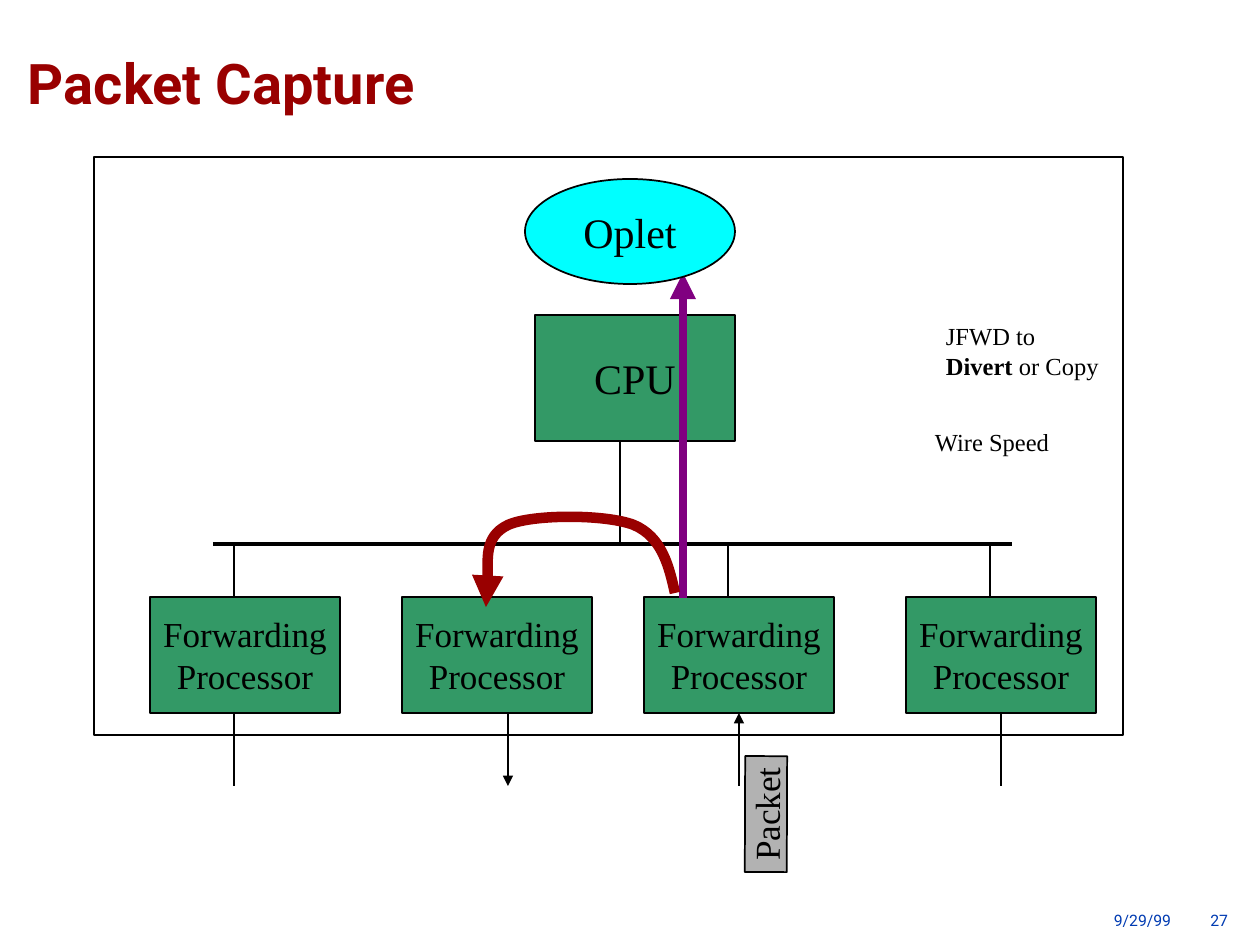
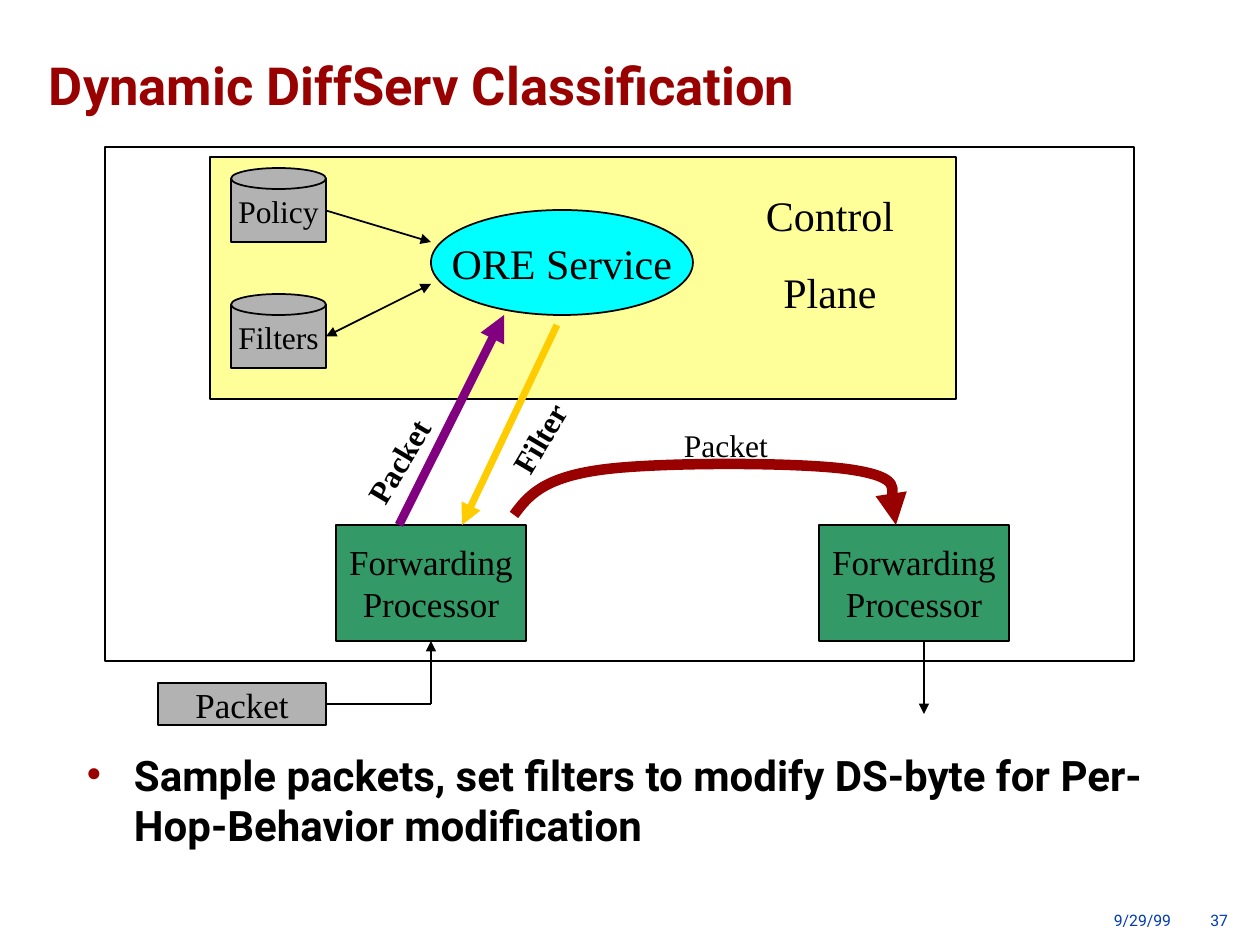
from dataclasses import dataclass
from typing import Optional

from pptx import Presentation
from pptx.dml.color import RGBColor
from pptx.enum.shapes import MSO_CONNECTOR, MSO_SHAPE
from pptx.enum.text import MSO_ANCHOR, PP_ALIGN
from pptx.oxml.ns import qn
from pptx.util import Pt
from lxml import etree

RECT, ELLIPSE = MSO_SHAPE.RECTANGLE, MSO_SHAPE.OVAL
STRAIGHT = MSO_CONNECTOR.STRAIGHT
LEFT, CENTER, RIGHT = PP_ALIGN.LEFT, PP_ALIGN.CENTER, PP_ALIGN.RIGHT
TOP, MIDDLE, BOTTOM = MSO_ANCHOR.TOP, MSO_ANCHOR.MIDDLE, MSO_ANCHOR.BOTTOM

EMU_PER_PX = 914400 / 126
SANS, SERIF = "Roboto", "Times New Roman"
COLORS = {
    "black": "000000",
    "title": "990000",
    "footer": "003BB2",
    "processor": "339966",
    "service": "00FFFF",
    "store": "B2B2B2",
    "plane": "FFFF99",
    "divert": "990000",
    "packet": "800080",
    "filter": "FFCC00",
}
BOTTOM_SITE, RIGHT_SITE = 2, 3
PROCESSOR_W, PROCESSOR_H = 190, 116
FORWARDING_PROCESSOR = "Forwarding\nProcessor"


@dataclass(frozen=True)
class Box:
    x: int
    y: int
    w: int
    h: int
    angle: float = 0


@dataclass(frozen=True)
class Stroke:
    color: str = "black"
    width: float = 1
    head: bool = False
    tail: bool = False


@dataclass(frozen=True)
class Join:
    shape: object
    site: int


@dataclass(frozen=True)
class Label:
    text: str
    box: Box
    size: int
    bold: bool = False
    align: int = CENTER
    space: int = 0


PLAIN = Stroke()
THIN = Stroke(width=0.75)
DIVERT = Stroke("divert", 6, tail=True)
PACKET = Stroke("packet", 5, tail=True)
FILTER = Stroke("filter", 4, tail=True)


def px(length: int) -> int:
    return round(length * EMU_PER_PX)


def rgb(name: str) -> RGBColor:
    return RGBColor.from_string(COLORS[name])


def place(box: Box) -> tuple:
    return px(box.x), px(box.y), px(box.w), px(box.h)


def write(shape, text: str, *, size: int, font: str = SERIF, color: str = "black",
          bold: bool = False, align=CENTER, anchor=MIDDLE, wrap: bool = False,
          inset: tuple = (13, 6), spacing: Optional[float] = None,
          space: int = 0, bullet: Optional[str] = None) -> None:
    """Fill a shape with text; newlines part paragraphs and ** toggles bold."""
    frame = shape.text_frame
    frame.word_wrap = wrap
    frame.vertical_anchor = anchor
    frame.margin_left = frame.margin_right = px(inset[0])
    frame.margin_top = frame.margin_bottom = px(inset[1])
    for number, line in enumerate(text.split("\n")):
        paragraph = frame.add_paragraph() if number else frame.paragraphs[0]
        if bullet:
            add_bullet(paragraph, bullet)
        paragraph.alignment = align
        paragraph.space_before = Pt(space if number else 0)
        if spacing:
            paragraph.line_spacing = spacing
        for part, words in enumerate(line.split("**")):
            if not words:
                continue
            run = paragraph.add_run()
            run.text = words
            run.font.name, run.font.size = font, Pt(size)
            run.font.bold = bold or part % 2 == 1
            run.font.color.rgb = rgb(color)


def add_bullet(paragraph, color: str, hang: int = 48) -> None:
    props = paragraph._p.get_or_add_pPr()
    props.set("marL", str(px(hang)))
    props.set("indent", str(-px(hang)))
    tint = etree.SubElement(props, qn("a:buClr"))
    etree.SubElement(tint, qn("a:srgbClr")).set("val", COLORS[color])
    etree.SubElement(props, qn("a:buSzPct")).set("val", "110000")
    etree.SubElement(props, qn("a:buFont")).set("typeface", SERIF)
    etree.SubElement(props, qn("a:buChar")).set("char", "•")


def add_text(slide, box: Box, text: str, **style) -> None:
    textbox = slide.shapes.add_textbox(*place(box))
    textbox.rotation = box.angle
    write(textbox, text, **style)


def add_label(slide, label: Label) -> None:
    add_text(slide, label.box, label.text, size=label.size, bold=label.bold,
             align=label.align, space=label.space)


def apply_stroke(shape, stroke: Stroke) -> None:
    shape.line.color.rgb = rgb(stroke.color)
    shape.line.width = Pt(stroke.width)
    outline = next(shape.element.iter(qn("a:ln")))
    for end, wanted in (("a:headEnd", stroke.head), ("a:tailEnd", stroke.tail)):
        if wanted:
            etree.SubElement(outline, qn(end)).set("type", "triangle")


def add_node(slide, kind, box: Box, fill: Optional[str] = None,
             stroke: Stroke = PLAIN, text: str = "", size: int = 20):
    node = slide.shapes.add_shape(kind, *place(box))
    node.rotation = box.angle
    node.shadow.inherit = False
    if fill:
        node.fill.solid()
        node.fill.fore_color.rgb = rgb(fill)
    else:
        node.fill.background()
    apply_stroke(node, stroke)
    if text:
        write(node, text, size=size)
    return node


def add_processor(slide, x: int, y: int):
    return add_node(slide, RECT, Box(x, y, PROCESSOR_W, PROCESSOR_H),
                    "processor", THIN, FORWARDING_PROCESSOR)


def add_store(slide, y: int, name: str):
    """Draw a drum and return its body."""
    body = add_node(slide, RECT, Box(231, y, 95, 63), "store", text=name, size=18)
    add_node(slide, ELLIPSE, Box(231, y - 11, 95, 21), "store")
    return body


def add_wire(slide, start: tuple, end: tuple, stroke: Stroke = PLAIN,
             begin: Optional[Join] = None, finish: Optional[Join] = None) -> None:
    wire = slide.shapes.add_connector(STRAIGHT, *map(px, start + end))
    if begin:
        wire.begin_connect(begin.shape, begin.site)
    if finish:
        wire.end_connect(finish.shape, finish.site)
    apply_stroke(wire, stroke)
    etree.SubElement(wire.element.spPr, qn("a:effectLst"))


def add_curve(slide, start: tuple, controls: list, stroke: Stroke) -> None:
    """Draw cubic curves, taking three control points for each."""
    builder = slide.shapes.build_freeform(*start, scale=EMU_PER_PX)
    builder.add_line_segments(controls, close=False)
    curve = builder.convert_to_shape()
    outline = next(curve.element.iter(qn("a:path")))
    segments = outline.findall(qn("a:lnTo"))
    for first in range(0, len(segments), 3):
        cubic = etree.SubElement(outline, qn("a:cubicBezTo"))
        for segment in segments[first:first + 3]:
            cubic.append(segment[0])
            outline.remove(segment)
    curve.shadow.inherit = False
    curve.fill.background()
    apply_stroke(curve, stroke)


def start_slide(deck, title: str, title_box: Box, title_size: int, number: int):
    slide = deck.slides.add_slide(deck.slide_layouts[6])
    for right, text in ((1171, "9/29/99"), (1228, str(number))):
        add_text(slide, Box(right - 80, 911, 80, 21), text, size=9, font=SANS,
                 color="footer", align=RIGHT, anchor=TOP, wrap=True, inset=(0, 0))
    add_text(slide, title_box, title, size=title_size, font=SANS, color="title",
             bold=True, align=LEFT, anchor=BOTTOM, wrap=True, inset=(6, 6),
             spacing=0.93)
    return slide


def build_packet_capture(deck) -> None:
    slide = start_slide(deck, "Packet Capture", Box(22, 31, 966, 92), 32, 27)
    bus_y, processor_y, wire_end = 544, 597, 786
    processor_bottom = processor_y + PROCESSOR_H
    add_wire(slide, (213, bus_y), (1012, bus_y), Stroke(width=2))
    add_node(slide, RECT, Box(535, 315, 200, 126), "processor", THIN, "CPU", 24)

    ports = (
        (150, 234, PLAIN, False),
        (402, 508, Stroke(tail=True), False),
        (644, 739, Stroke(head=True), True),
        (906, 1001, PLAIN, True),
    )
    for x, wire_x, stroke, centred in ports:
        processor = add_processor(slide, x, processor_y)
        add_wire(slide, (wire_x, processor_bottom), (wire_x, wire_end), stroke,
                 begin=Join(processor, BOTTOM_SITE) if centred else None)
        add_wire(slide, (x + 84, bus_y), (x + 84, processor_y))

    add_node(slide, RECT, Box(94, 157, 1029, 578), stroke=THIN)
    add_wire(slide, (620, 441), (620, bus_y))
    add_wire(slide, (683, 598), (683, 273), PACKET)
    add_curve(slide, (675, 593), [
        (669, 566), (662, 537), (634, 525),
        (606, 514), (532, 514), (508, 525),
        (483, 537), (490, 580), (486, 593),
        (483, 607), (485, 607), (486, 607),
    ], DIVERT)
    add_node(slide, ELLIPSE, Box(525, 179, 210, 105), "service", text="Oplet", size=24)
    add_label(slide, Label("JFWD to\n**Divert** or Copy", Box(933, 315, 200, 71),
                           14, align=LEFT))
    add_label(slide, Label("Wire Speed", Box(913, 421, 158, 42), 14))
    add_node(slide, RECT, Box(708, 793, 116, 42, 270.2), "store", text="Packet")


def build_classification(deck) -> None:
    slide = start_slide(deck, "Dynamic DiffServ Classification",
                        Box(43, 31, 1082, 92), 30, 37)
    processor_y = 525
    processor_bottom = processor_y + PROCESSOR_H
    add_node(slide, RECT, Box(210, 157, 746, 242), "plane")
    ingress = add_processor(slide, 336, processor_y)
    add_processor(slide, 819, processor_y)
    packet = add_node(slide, RECT, Box(158, 683, 168, 42), "store", text="Packet")
    add_wire(slide, (431, processor_bottom), (431, 704), Stroke(head=True),
             begin=Join(ingress, BOTTOM_SITE))
    add_wire(slide, (431, 704), (326, 704), finish=Join(packet, RIGHT_SITE))
    add_wire(slide, (924, processor_bottom), (924, 714), Stroke(tail=True))
    add_node(slide, RECT, Box(105, 147, 1029, 514), stroke=THIN)

    add_wire(slide, (399, processor_y), (504, 315), PACKET)
    add_curve(slide, (514, 515), [
        (528, 496), (543, 478), (600, 470),
        (655, 462), (804, 462), (853, 470),
        (903, 478), (888, 507), (896, 515),
        (903, 525), (900, 525), (896, 525),
    ], DIVERT)
    policy = add_store(slide, 179, "Policy")
    add_wire(slide, (326, 210), (431, 242), Stroke(tail=True),
             begin=Join(policy, RIGHT_SITE))
    filters = add_store(slide, 305, "Filters")
    add_wire(slide, (326, 336), (431, 284), Stroke(head=True, tail=True),
             begin=Join(filters, RIGHT_SITE))
    add_wire(slide, (557, 325), (462, processor_y), FILTER)
    add_node(slide, ELLIPSE, Box(431, 210, 262, 105), "service",
             text="ORE Service", size=24)

    for label in (
        Label("Packet", Box(656, 420, 140, 50), 18),
        Label("Packet", Box(325, 436, 146, 50, 300.7), 18, bold=True),
        Label("Filter", Box(469, 413, 140, 50, 300.6), 18, bold=True),
        Label("Control\nPlane", Box(730, 183, 200, 140), 24, space=15),
    ):
        add_label(slide, label)
    add_text(slide, Box(73, 743, 1124, 160),
             "Sample packets, set filters to modify DS-byte for "
             "Per-Hop-Behavior modification",
             size=24, font=SANS, bold=True, align=LEFT, anchor=TOP, wrap=True,
             bullet="title")


def main() -> None:
    deck = Presentation()
    deck.slide_width, deck.slide_height = px(1260), px(945)
    build_packet_capture(deck)
    build_classification(deck)
    deck.save("out.pptx")


if __name__ == "__main__":
    main()
